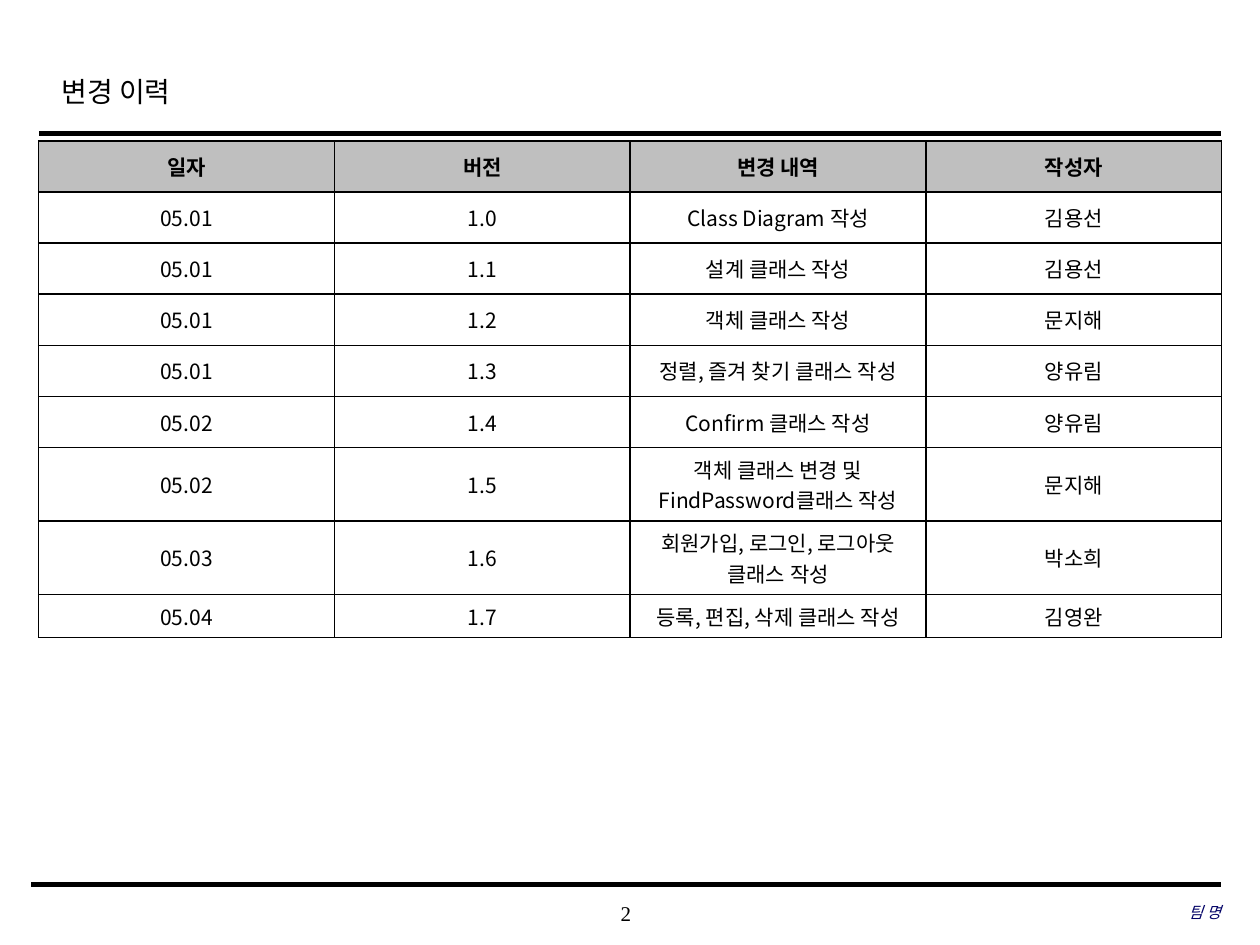
from dataclasses import dataclass

from lxml import etree
from pptx import Presentation
from pptx.dml.color import RGBColor
from pptx.enum import text
from pptx.oxml import ns
from pptx.util import Cm, Pt


@dataclass(frozen=True)
class Theme:
    ink: str = "000000"
    team: str = "000066"
    header: str = "BFBFBF"
    body: str = "FFFFFF"
    serif: str = "Times New Roman"
    sans: str = "Noto Sans CJK KR"
    title_size: int = 16
    table_size: int = 12
    number_size: int = 12
    team_size: int = 9
    border: float = 1


@dataclass(frozen=True)
class Box:
    left: float
    top: float
    width: float
    height: float

    def lengths(self):
        return Cm(self.left), Cm(self.top), Cm(self.width), Cm(self.height)


THEME = Theme()

HISTORY = [
    ("일자", "버전", "변경 내역", "작성자"),
    ("05.01", "1.0", "Class Diagram 작성", "김용선"),
    ("05.01", "1.1", "설계 클래스 작성", "김용선"),
    ("05.01", "1.2", "객체 클래스 작성", "문지해"),
    ("05.01", "1.3", "정렬, 즐겨 찾기 클래스 작성", "양유림"),
    ("05.02", "1.4", "Confirm 클래스 작성", "양유림"),
    ("05.02", "1.5", "객체 클래스 변경 및 FindPassword클래스 작성", "문지해"),
    ("05.03", "1.6", "회원가입, 로그인, 로그아웃 클래스 작성", "박소희"),
    ("05.04", "1.7", "등록, 편집, 삭제 클래스 작성", "김영완"),
]
ROW_HEIGHTS = [1.03] * 7 + [0.64] * 2


def write(frame, words, size, align, face=THEME.serif, color=THEME.ink, bold=False, italic=False):
    frame.text = words
    para = frame.paragraphs[0]
    para.alignment = align
    font = para.font
    font.name, font.size, font.bold, font.italic = face, Pt(size), bold, italic
    font.color.rgb = RGBColor.from_string(color)
    east_asian = etree.SubElement(para._p.pPr.find(ns.qn("a:defRPr")), ns.qn("a:ea"))
    east_asian.set("typeface", THEME.sans)
    for span in para.runs:
        span.font.name = face
        span.font.size = font.size
        span.font.bold, span.font.italic = bold, italic
        span.font.color.rgb = font.color.rgb
        etree.SubElement(span._r.rPr, ns.qn("a:ea")).set("typeface", THEME.sans)
    return para


def add_rule(page, left, right, y, weight):
    rule = page.shapes.add_connector(1, Cm(left), Cm(y), Cm(right), Cm(y))
    rule.line.color.rgb = RGBColor.from_string(THEME.ink)
    rule.line.width = Pt(weight)
    etree.SubElement(rule._element.spPr, ns.qn("a:effectLst"))


def add_label(page, box, words, size, align, **style):
    frame = page.shapes.add_textbox(*box.lengths()).text_frame
    frame.word_wrap = True
    frame.vertical_anchor = text.MSO_ANCHOR.MIDDLE
    frame.margin_left = frame.margin_right = frame.margin_top = frame.margin_bottom = 0
    write(frame, words, size, align, **style)


def add_heading(page, box):
    title = page.shapes.title
    title.left, title.top, title.width, title.height = box.lengths()
    frame = title.text_frame
    frame.vertical_anchor = text.MSO_ANCHOR.TOP
    para = write(frame, "변경 이력", THEME.title_size, text.PP_ALIGN.LEFT)
    para.line_spacing = 1.2
    add_rule(page, box.left - 0.2, box.left + 23.62, box.top + 1.45, 2.5)


def add_borders(cell):
    properties = cell._tc.get_or_add_tcPr()
    for index, side in enumerate(("lnL", "lnR", "lnT", "lnB")):
        line = etree.Element(ns.qn(f"a:{side}"), w=str(Pt(THEME.border)))
        fill = etree.SubElement(line, ns.qn("a:solidFill"))
        etree.SubElement(fill, ns.qn("a:srgbClr"), val=THEME.ink)
        properties.insert(index, line)


def add_history(page, box):
    table = page.shapes.add_table(len(HISTORY), len(HISTORY[0]), *box.lengths()).table
    for column in table.columns:
        column.width = Cm(box.width / len(HISTORY[0]))
    for index, (row, height, entries) in enumerate(zip(table.rows, ROW_HEIGHTS, HISTORY)):
        row.height = Cm(height)
        is_header = index == 0
        for cell, words in zip(row.cells, entries):
            cell.vertical_anchor = text.MSO_ANCHOR.MIDDLE
            cell.fill.solid()
            cell.fill.fore_color.rgb = RGBColor.from_string(THEME.header if is_header else THEME.body)
            write(cell.text_frame, words, THEME.table_size, text.PP_ALIGN.CENTER,
                  face=THEME.sans, bold=is_header)
            add_borders(cell)


def add_footer(page, box):
    add_rule(page, box.left, box.left + box.width, box.top, 3)
    add_label(page, Box(box.left + 9.35, box.top + 0.15, 5.28, 0.84), "2",
              THEME.number_size, text.PP_ALIGN.CENTER)
    add_label(page, Box(box.left + box.width - 7.77, box.top + 0.13, 7.77, 0.84), "팀 명",
              THEME.team_size, text.PP_ALIGN.RIGHT, color=THEME.team, italic=True)


def main():
    deck = Presentation()
    deck.slide_width, deck.slide_height = Cm(25.4), Cm(19.05)
    page = deck.slides.add_slide(deck.slide_layouts[5])
    add_heading(page, Box(0.99, 1.24, 19.18, 1.27))
    add_history(page, Box(0.78, 2.84, 23.85, sum(ROW_HEIGHTS)))
    add_footer(page, Box(0.63, 17.83, 23.98, 0.97))
    deck.save("out.pptx")


if __name__ == "__main__":
    main()
